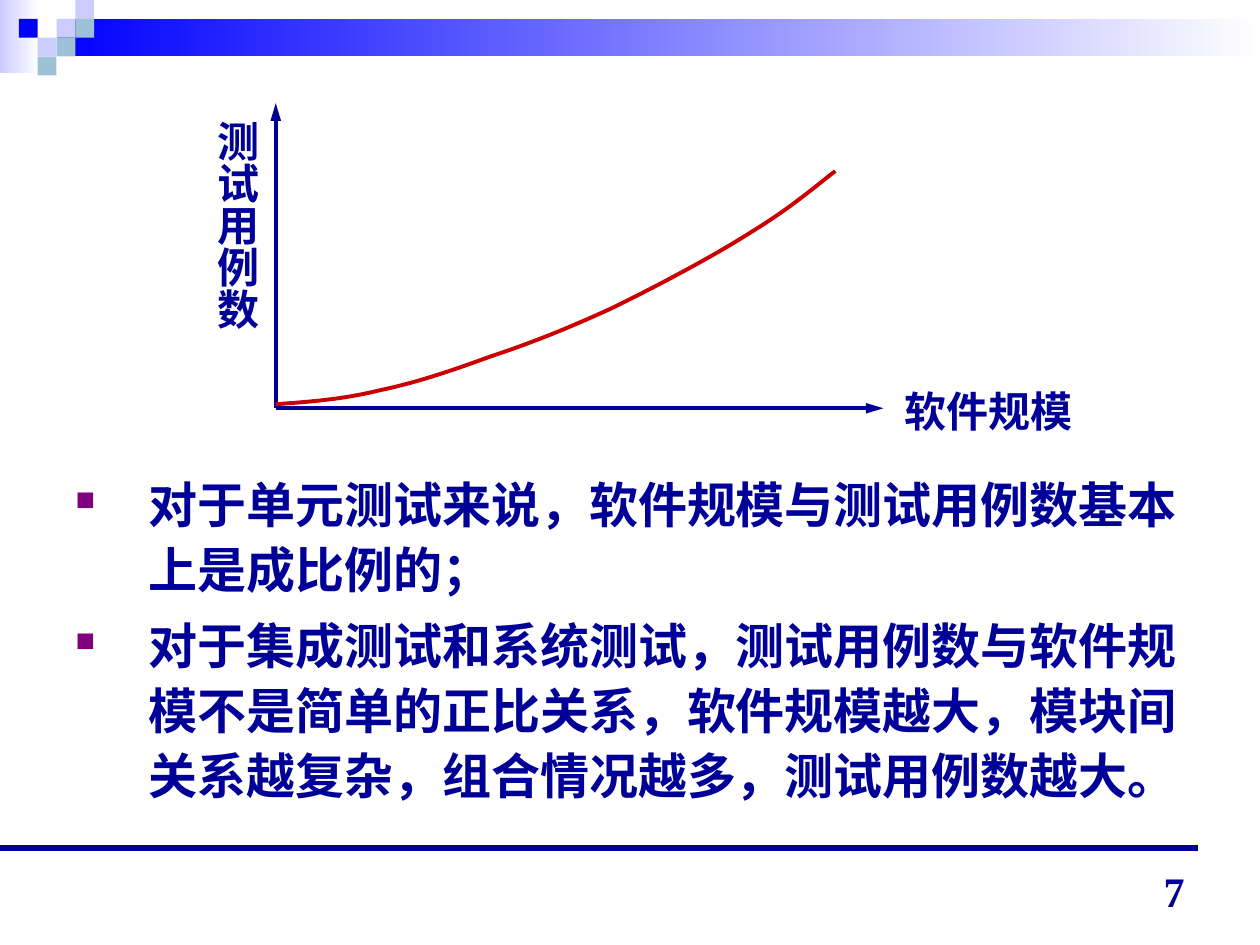
from lxml import etree
from pptx import Presentation
from pptx import util as u
from pptx.dml.color import RGBColor
from pptx.enum import shapes, text
from pptx.oxml.ns import qn

NAVY, BLUE, LAVENDER, TEAL = "000099", "0000FF", "CCCCFF", "9DC2D7"
WHITE, PURPLE, RED = "FFFFFF", "800080", "CC0000"


def color(value):
    """Turn a hex string into a colour."""
    return RGBColor.from_string(value)


def bezier(start, first, second, end, steps=16):
    """Return points along a cubic curve, without its start."""
    points = []
    for step in range(1, steps + 1):
        t = step / steps
        weights = ((1 - t) ** 3, 3 * t * (1 - t) ** 2, 3 * t * t * (1 - t), t ** 3)
        points.append(tuple(sum(w * p[axis] for w, p in zip(weights, (start, first, second, end)))
                            for axis in (0, 1)))
    return points


class SlideBuilder:
    """Hold the text style and the current slide."""

    def __init__(self, slide, ink=NAVY):
        self.slide = slide
        self.ink = ink

    def rectangle(self, left, top, width, height, fill, fade_to=None):
        """Add a borderless rectangle, plain or fading to the right."""
        shape = self.slide.shapes.add_shape(
            shapes.MSO_SHAPE.RECTANGLE, u.Cm(left), u.Cm(top), u.Cm(width), u.Cm(height))
        shape.shadow.inherit = False
        shape.line.fill.background()
        if fade_to:
            shape.fill.gradient()
            shape.fill.gradient_angle = 0
            for stop, value in zip(shape.fill.gradient_stops, (fill, fade_to)):
                stop.color.rgb = color(value)
        else:
            shape.fill.solid()
            shape.fill.fore_color.rgb = color(fill)

    def line(self, start, end, width, arrow=False):
        """Add a straight line, with an arrowhead at its end if wanted."""
        connector = self.slide.shapes.add_connector(
            shapes.MSO_CONNECTOR.STRAIGHT, *(u.Cm(value) for value in (*start, *end)))
        connector.line.color.rgb = color(self.ink)
        connector.line.width = u.Pt(width)
        if arrow:
            etree.SubElement(connector.line._get_or_add_ln(), qn("a:tailEnd"),
                             type="triangle", len="lg")
        etree.SubElement(connector._element.spPr, qn("a:effectLst"))

    def curve(self, start, segments, stroke, width):
        """Add an open smooth curve made of cubic segments."""
        points = [start]
        for first, second, end in segments:
            points += bezier(points[-1], first, second, end)
        corners = [(u.Cm(x), u.Cm(y)) for x, y in points]
        builder = self.slide.shapes.build_freeform(*corners[0])
        builder.add_line_segments(corners[1:], close=False)
        shape = builder.convert_to_shape()
        shape.shadow.inherit = False
        shape.fill.background()
        shape.line.color.rgb = color(stroke)
        shape.line.width = u.Pt(width)

    def bullet(self, paragraph):
        """Give a paragraph a small square bullet and a hanging indent."""
        properties = paragraph._p.get_or_add_pPr()
        properties.set("marL", str(u.Cm(1.48)))
        properties.set("indent", str(u.Cm(-1.48)))
        tint = etree.SubElement(properties, qn("a:buClr"))
        etree.SubElement(tint, qn("a:srgbClr"), val=PURPLE)
        etree.SubElement(properties, qn("a:buSzPct"), val="55000")
        etree.SubElement(properties, qn("a:buChar"), char="■")

    def text(self, left, top, width, height, lines, font="Arial", size=24, bulleted=False,
             vertical=False, align=text.PP_ALIGN.LEFT, anchor=text.MSO_ANCHOR.TOP):
        """Add a text box with one paragraph for each line."""
        box = self.slide.shapes.add_textbox(u.Cm(left), u.Cm(top), u.Cm(width), u.Cm(height))
        frame = box.text_frame
        frame.word_wrap = not vertical
        frame.vertical_anchor = anchor
        if vertical:
            frame._txBody.bodyPr.set("vert", "eaVert")
            frame.margin_left = frame.margin_right = u.Cm(0.13)
            frame.margin_top = frame.margin_bottom = u.Cm(0.25)
        for index, words in enumerate(lines):
            paragraph = frame.add_paragraph() if index else frame.paragraphs[0]
            paragraph.alignment = align
            if bulleted:
                paragraph.line_spacing = 1.1
                paragraph.space_before = u.Pt(7 if index else 0)
                self.bullet(paragraph)
            run = paragraph.add_run()
            run.text = words
            run.font.name = font
            run.font.size = u.Pt(size)
            run.font.bold = True
            run.font.color.rgb = color(self.ink)


def main():
    """Build the slide and save it."""
    presentation = Presentation()
    presentation.slide_width, presentation.slide_height = u.Cm(25.4), u.Cm(19.05)
    builder = SlideBuilder(presentation.slides.add_slide(presentation.slide_layouts[6]))

    builder.rectangle(0, 0, 0.79, 1.47, LAVENDER, WHITE)
    builder.rectangle(1.14, 0.38, 24.26, 0.76, BLUE, WHITE)
    tile = 0.38
    tiles = ((3, 1, LAVENDER), (4, 0, LAVENDER), (4, 1, TEAL), (2, 2, LAVENDER),
             (1, 1, BLUE), (3, 2, TEAL), (2, 3, TEAL))
    for column, row, fill in tiles:
        builder.rectangle(column * tile, row * tile, tile, tile, fill)
    builder.line((0, 17.1), (24.16, 17.1), 3.25)

    builder.text(1.27, 9.32, 22.86, 7.8, (
        "对于单元测试来说，软件规模与测试用例数基本上是成比例的；",
        "对于集成测试和系统测试，测试用例数与软件规模不是简单的正比关系，"
        "软件规模越大，模块间关系越复杂，组合情况越多，测试用例数越大。",
    ), font="Times New Roman", size=28, bulleted=True)

    builder.text(3.89, 2.19, 1.52, 4.5, ["测试用例数"], vertical=True)
    builder.text(17.98, 7.65, 4.47, 1.27, ["软件规模"])
    origin = (5.56, 8.23)
    builder.line(origin, (17.81, 8.23), 2, arrow=True)
    builder.line(origin, (5.56, 2.08), 2, arrow=True)
    builder.curve((5.56, 8.15), (
        ((6.25, 8.1), (6.93, 8.05), (7.65, 7.87)),
        ((8.38, 7.72), (9.12, 7.47), (9.88, 7.19)),
        ((10.67, 6.93), (11.43, 6.63), (12.32, 6.22)),
        ((13.21, 5.79), (14.45, 5.13), (15.19, 4.65)),
        ((15.95, 4.19), (16.56, 3.66), (16.84, 3.45)),
    ), RED, 2.25)

    builder.text(18.21, 17.32, 5.92, 1.27, ["7"], font="Times New Roman",
                 align=text.PP_ALIGN.RIGHT, anchor=text.MSO_ANCHOR.BOTTOM)
    presentation.save("out.pptx")


if __name__ == "__main__":
    main()
